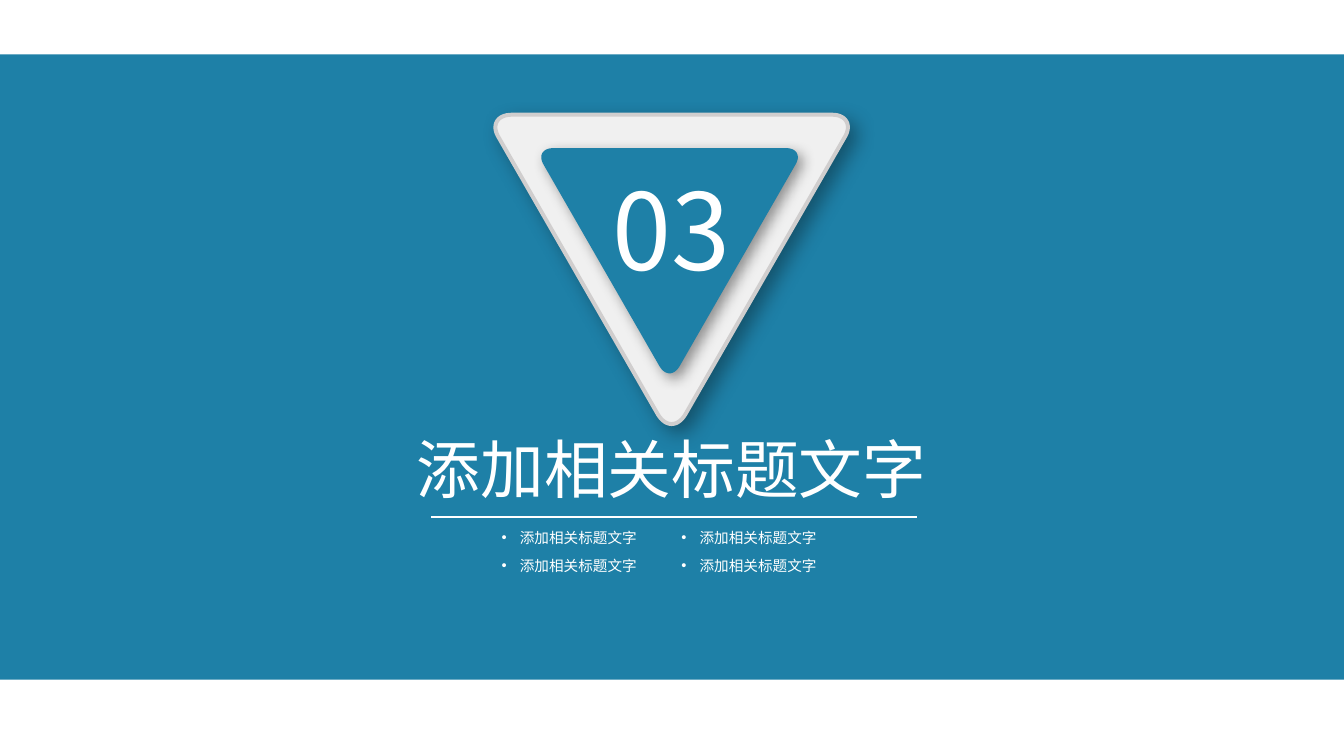
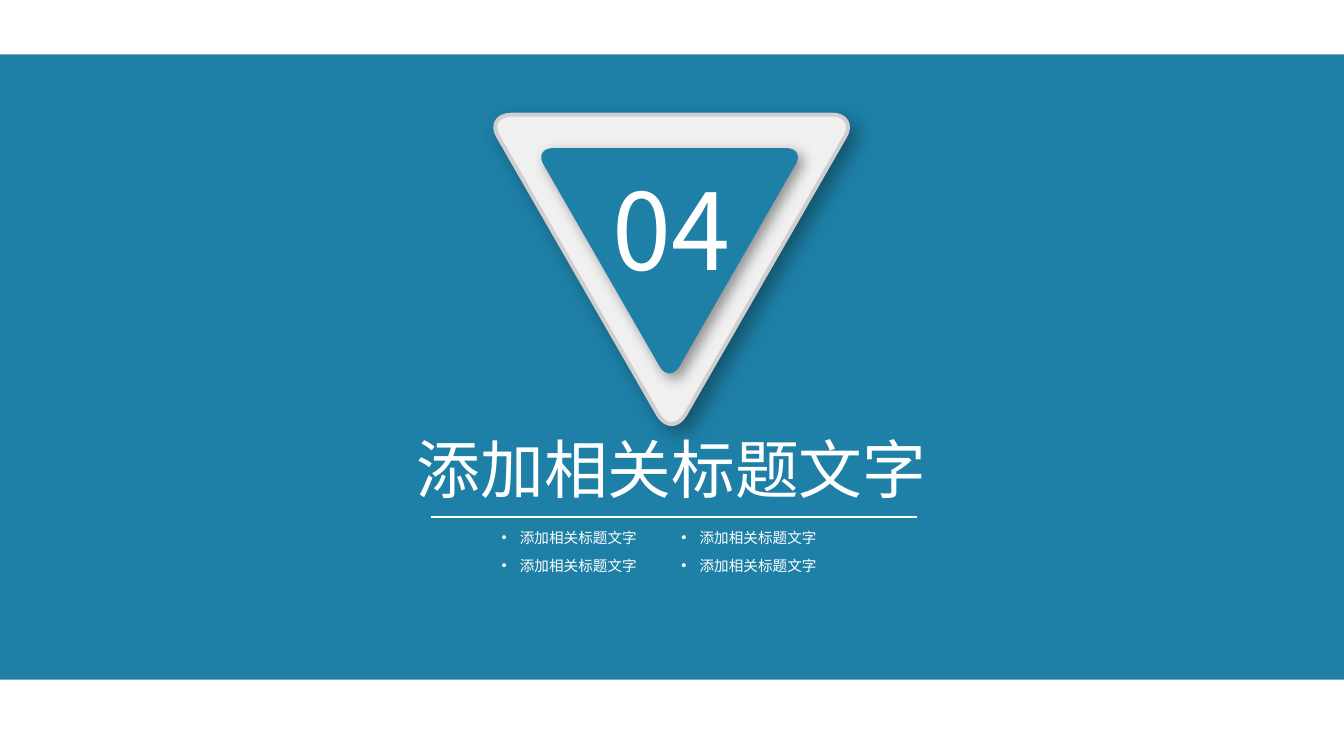
from lxml import etree
from pptx import Presentation
from pptx.dml.color import RGBColor
from pptx.enum.shapes import MSO_CONNECTOR as Connector, MSO_SHAPE as Preset
from pptx.enum.text import MSO_ANCHOR as Anchor, MSO_AUTO_SIZE as AutoSize, PP_ALIGN as Align
from pptx.oxml.ns import qn
from pptx.util import Pt

BLUE = RGBColor(0x1E, 0x80, 0xA7)
WHITE = RGBColor(0xFF, 0xFF, 0xFF)
PALE_GREY = RGBColor(0xF0, 0xF0, 0xF0)
RIM_GREY = RGBColor(0xD0, 0xCE, 0xCE)

SLIDE_WIDTH, SLIDE_HEIGHT = 1012.5, 569.5
TEXT_FONT, NUMBER_FONT = "Arial", "Noto Sans CJK SC"
CAPTION = "添加相关标题文字"
BULLET_LEFTS, BULLET_TOPS = (370.8, 506.2), (394.6, 416.2)
BULLET_INDENT = 13.7

# Rounded corners of the triangle as cubic curves, in order, for the full width
TRIANGLE_WIDTH = 272
TRIANGLE_CORNERS = (
    ((5.8, 17.3), (0, 8), (4.3, 0), (15.8, 0)),
    ((256.8, 0), (267.7, 0), (272, 8), (266.2, 17.3)),
    ((146.2, 226), (140.4, 235.4), (131.6, 235.4), (125.8, 226)),
)
CURVE_STEPS = 16


def curve_points(corner):
    """Sample a cubic curve, both ends included."""
    for step in range(CURVE_STEPS + 1):
        t = step / CURVE_STEPS
        weights = ((1 - t) ** 3, 3 * t * (1 - t) ** 2, 3 * t * t * (1 - t), t ** 3)
        yield tuple(sum(w * point[axis] for w, point in zip(weights, corner)) for axis in (0, 1))


def write_text(frame, text, size, font=TEXT_FONT, color=WHITE, align=Align.LEFT, bullet=False):
    paragraph = frame.paragraphs[0]
    paragraph.alignment = align
    if bullet:
        paragraph.level = 1
        properties = paragraph._p.get_or_add_pPr()
        properties.set("marL", str(Pt(BULLET_INDENT)))
        properties.set("indent", str(-Pt(BULLET_INDENT)))
        etree.SubElement(properties, qn("a:buFont")).set("typeface", TEXT_FONT)
        etree.SubElement(properties, qn("a:buChar")).set("char", "•")
    run = paragraph.add_run()
    run.text = text
    run.font.size = Pt(size)
    run.font.name = font
    run.font.color.rgb = color
    etree.SubElement(run._r.get_or_add_rPr(), qn("a:ea")).set("typeface", font)


class SectionDeck:
    def __init__(self):
        self.presentation = Presentation()
        self.presentation.slide_width = Pt(SLIDE_WIDTH)
        self.presentation.slide_height = Pt(SLIDE_HEIGHT)
        self.slide = None

    def new_slide(self):
        self.slide = self.presentation.slides.add_slide(self.presentation.slide_layouts[6])

    def band(self, top, height):
        shape = self.slide.shapes.add_shape(
            Preset.RECTANGLE, Pt(0), Pt(top), Pt(SLIDE_WIDTH), Pt(height))
        shape.shadow.inherit = False
        shape.fill.solid()
        shape.fill.fore_color.rgb = BLUE
        shape.line.fill.background()

    def triangle(self, left, top, width, fill, blur, distance, opacity, rim=None):
        """Draw a rounded triangle pointing down, with a soft shadow."""
        scale = width / TRIANGLE_WIDTH
        points = [(Pt(left + x * scale), Pt(top + y * scale))
                  for corner in TRIANGLE_CORNERS for x, y in curve_points(corner)]
        builder = self.slide.shapes.build_freeform(*points[0])
        builder.add_line_segments(points[1:], close=True)
        shape = builder.convert_to_shape()
        shape.fill.solid()
        shape.fill.fore_color.rgb = fill
        if rim is None:
            shape.line.fill.background()
        else:
            shape.line.color.rgb = rim
            shape.line.width = Pt(3)
        self.soft_shadow(shape, blur, distance, opacity)

    def soft_shadow(self, shape, blur, distance, opacity):
        shape.shadow.inherit = False
        effects = shape._element.spPr.find(qn("a:effectLst"))
        shadow = etree.SubElement(
            effects, qn("a:outerShdw"), blurRad=str(Pt(blur)), dist=str(Pt(distance)),
            dir=str(45 * 60000), algn="tl", rotWithShape="0")
        color = etree.SubElement(shadow, qn("a:srgbClr"), val="000000")
        etree.SubElement(color, qn("a:alpha"), val=str(opacity * 1000))

    def text(self, left, top, width, height, text, size, anchor=Anchor.TOP, insets=None, **text_format):
        """Add a text box; insets are left, top, right and bottom."""
        box = self.slide.shapes.add_textbox(Pt(left), Pt(top), Pt(width), Pt(height))
        frame = box.text_frame
        frame.word_wrap = True
        frame.auto_size = AutoSize.NONE
        frame.vertical_anchor = anchor
        if insets:
            (frame.margin_left, frame.margin_top,
             frame.margin_right, frame.margin_bottom) = map(Pt, insets)
        write_text(frame, text, size, **text_format)

    def rule(self, left, right, y):
        line = self.slide.shapes.add_connector(
            Connector.STRAIGHT, Pt(left), Pt(y), Pt(right), Pt(y))
        line.line.color.rgb = WHITE
        line.line.width = Pt(2)
        etree.SubElement(line._element.spPr, qn("a:effectLst"))

    def section(self, number, title, bullets):
        self.new_slide()
        self.band(41, 471)
        self.triangle(370, 86.4, TRIANGLE_WIDTH, PALE_GREY, 15, 7, 35, rim=RIM_GREY)
        self.triangle(405.4, 111.6, 198, BLUE, 10, 5, 40)
        self.text(394.6, 121.7, 223.2, 104.4, number, 80, anchor=Anchor.MIDDLE,
                  insets=(0, 0, 0, 4), font=NUMBER_FONT, align=Align.CENTER)
        self.rule(324.7, 690.5, 389.5)
        self.text(313.9, 323.3, 391, 58.3, title, 48, anchor=Anchor.MIDDLE, insets=(0, 0, 0, 0))
        places = [(left, top) for top in BULLET_TOPS for left in BULLET_LEFTS]
        for (left, top), bullet in zip(places, bullets):
            self.text(left, top, 120, 20.9, bullet, 11, bullet=True)


def main():
    deck = SectionDeck()
    for number in ("03", "04"):
        deck.section(number, CAPTION, [CAPTION] * 4)
    deck.presentation.save("out.pptx")


if __name__ == "__main__":
    main()
